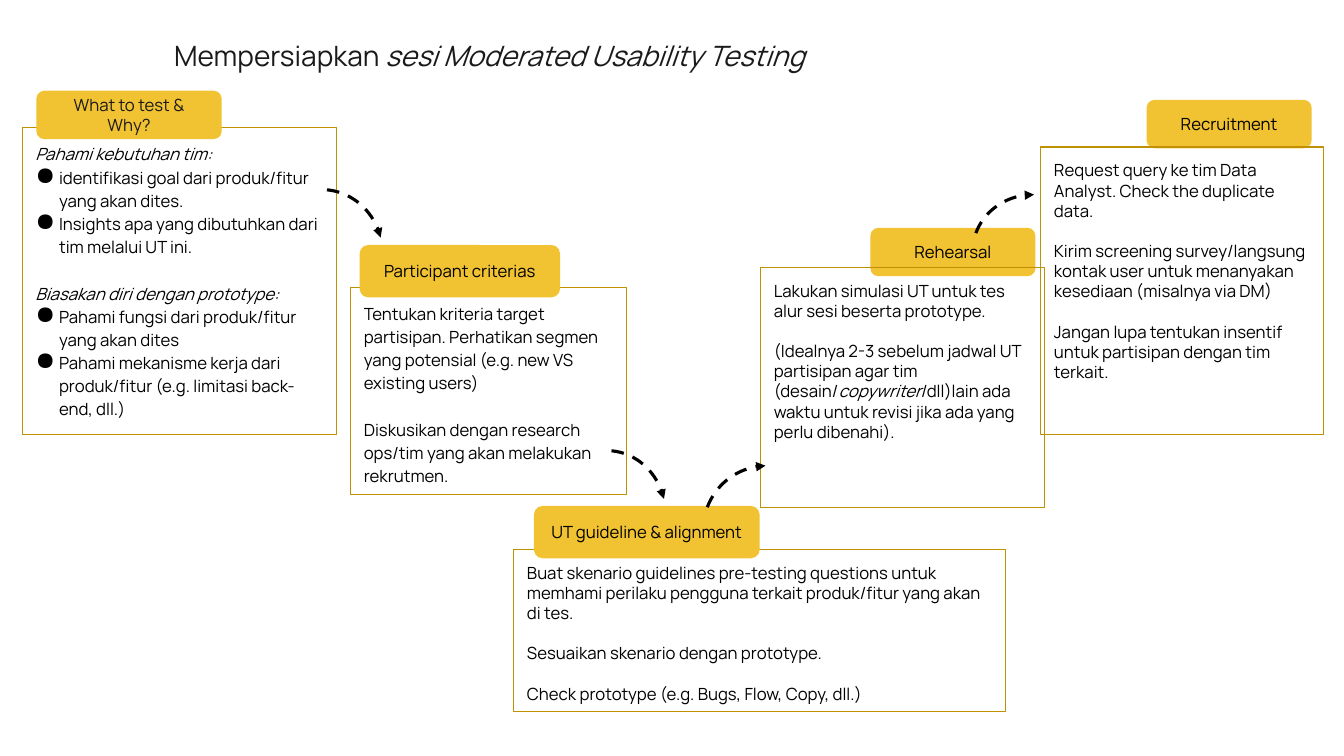
from dataclasses import dataclass

from lxml import etree
from pptx import Presentation
from pptx.dml.color import RGBColor
from pptx.enum import dml, shapes, text
from pptx.oxml import ns
from pptx.util import Pt


@dataclass(frozen=True)
class Theme:
    font: str = "Manrope"
    title_size: int = 20
    body_size: int = 12
    ink: str = "000000"
    soft_ink: str = "1A1A1A"
    tab: str = "F1C232"
    frame: str = "BF9000"
    loose: float = 1.15
    line_height: float = 14.4


@dataclass(frozen=True)
class Para:
    """A paragraph; parts between asterisks are italic."""
    words: str
    bullet: bool = False
    gap: bool = False


@dataclass(frozen=True)
class Step:
    heading: str
    tab: tuple
    card: tuple
    body: tuple
    spacing: float = 1.0
    tab_on_top: bool = True
    tab_ink: str = Theme.ink


THEME = Theme()

STEPS = (
    Step("What to test & Why?", (26, 64.8, 132.5, 34.6), (15.8, 91.4, 224.6, 219), (
        Para("*Pahami kebutuhan tim:*"),
        Para("identifikasi goal dari produk/fitur yang akan dites.", bullet=True),
        Para("Insights apa yang dibutuhkan dari tim melalui UT ini.", bullet=True),
        Para("*Biasakan diri dengan prototype:*", gap=True),
        Para("Pahami fungsi dari produk/fitur yang akan dites", bullet=True),
        Para("Pahami mekanisme kerja dari produk/fitur (e.g. limitasi back-end, dll.)",
             bullet=True),
    ), spacing=THEME.loose, tab_ink=THEME.soft_ink),
    Step("Participant criterias", (257, 175, 143.3, 37.4), (250.6, 205.2, 197.3, 148.3), (
        Para("Tentukan kriteria target partisipan. Perhatikan segmen yang potensial "
             "(e.g. new VS existing users)"),
        Para("Diskusikan dengan research ops/tim yang akan melakukan rekrutmen.", gap=True),
    ), spacing=THEME.loose),
    Step("UT guideline & alignment", (381.6, 361.4, 161.3, 37.4), (367.2, 392.4, 351.4, 116), (
        Para("Buat skenario guidelines pre-testing questions untuk memhami perilaku "
             "pengguna terkait produk/fitur yang akan di tes."),
        Para("Sesuaikan skenario dengan prototype.", gap=True),
        Para("Check prototype (e.g. Bugs, Flow, Copy, dll.)", gap=True),
    )),
    Step("Rehearsal", (622, 162.7, 118, 34.6), (543.6, 190.8, 203, 171.4), (
        Para("Lakukan simulasi UT untuk tes alur sesi beserta prototype."),
        Para("(Idealnya 2-3 sebelum jadwal UT partisipan agar tim (desain/*copywriter*/dll)"
             "lain ada waktu untuk revisi jika ada yang perlu dibenahi).", gap=True),
    ), tab_on_top=False),
    Step("Recruitment", (819.4, 71.3, 118, 34.6), (743.8, 105, 202.3, 205.2), (
        Para("Request query ke tim Data Analyst. Check the duplicate data."),
        Para("Kirim screening survey/langsung kontak user untuk menanyakan kesediaan "
             "(misalnya via DM)", gap=True),
        Para("Jangan lupa tentukan insentif untuk partisipan dengan tim terkait.", gap=True),
    ), tab_on_top=False),
)

DOWNWARD, UPWARD = 5.3, 290.5
ARROWS = (
    ((185, 135.4, 88.6, 94.3), DOWNWARD),
    ((389.5, 321.8, 86.4, 94.3), DOWNWARD),
    ((502.6, 332.6, 91.4, 91.4), UPWARD),
    ((697, 136.8, 86.4, 91.4), UPWARD),
)


def points(box):
    return [Pt(length) for length in box]


def color(code):
    return RGBColor.from_string(code)


def set_frame(frame, inset, anchor):
    frame.word_wrap = True
    frame.vertical_anchor = anchor
    frame.margin_left = frame.margin_right = Pt(inset)
    frame.margin_top = frame.margin_bottom = Pt(inset)


def add_bullet(paragraph):
    props = paragraph._p.get_or_add_pPr()
    props.set("marL", str(Pt(17)))
    props.set("indent", str(-Pt(17)))
    tint = etree.SubElement(props, ns.qn("a:buClr"))
    etree.SubElement(tint, ns.qn("a:srgbClr"), val=THEME.ink)
    etree.SubElement(props, ns.qn("a:buSzPct"), val="150000")
    etree.SubElement(props, ns.qn("a:buChar"), char="●")


def write(frame, paras, size, ink, spacing=1.0, align=text.PP_ALIGN.LEFT):
    for index, para in enumerate(paras):
        paragraph = frame.add_paragraph() if index else frame.paragraphs[0]
        if para.bullet:
            add_bullet(paragraph)
        paragraph.alignment = align
        paragraph.line_spacing = spacing
        if para.gap:
            paragraph.space_before = Pt(round(THEME.line_height * spacing, 1))
        for part, words in enumerate(para.words.split("*")):
            if not words:
                continue
            run = paragraph.add_run()
            run.text = words
            run.font.name = THEME.font
            run.font.size = Pt(size)
            run.font.italic = part % 2 == 1
            run.font.color.rgb = color(ink)


def add_title(slide):
    title = slide.shapes.add_textbox(*points((119.5, 18.7, 558.7, 37.4)))
    set_frame(title.text_frame, 5, text.MSO_ANCHOR.TOP)
    write(title.text_frame, [Para("Mempersiapkan* sesi Moderated Usability Testing*")],
          THEME.title_size, THEME.soft_ink, THEME.loose)


def add_tab(slide, step):
    tab = slide.shapes.add_shape(shapes.MSO_SHAPE.ROUNDED_RECTANGLE, *points(step.tab))
    tab.shadow.inherit = False
    tab.fill.solid()
    tab.fill.fore_color.rgb = color(THEME.tab)
    tab.line.fill.background()
    set_frame(tab.text_frame, 9.4, text.MSO_ANCHOR.MIDDLE)
    write(tab.text_frame, [Para(step.heading)], THEME.body_size, step.tab_ink,
          align=text.PP_ALIGN.CENTER)


def add_card(slide, step):
    card = slide.shapes.add_shape(shapes.MSO_SHAPE.RECTANGLE, *points(step.card))
    card.shadow.inherit = False
    card.fill.background()
    card.line.color.rgb = color(THEME.frame)
    card.line.width = Pt(0.75)
    set_frame(card.text_frame, 9.4, text.MSO_ANCHOR.TOP)
    write(card.text_frame, step.body, THEME.body_size, THEME.ink, step.spacing)


def add_curved_arrow(slide, box, rotation):
    """Draw a dashed arc from 270 to 338 degrees, turned by the rotation."""
    arrow = slide.shapes.add_shape(shapes.MSO_SHAPE.ARC, *points(box))
    arrow.shadow.inherit = False
    arrow.rotation = rotation
    # One adjustment unit is 100000, one degree is 60000
    for index, degrees in enumerate((270, 338)):
        arrow.adjustments[index] = degrees * 0.6
    arrow.fill.background()
    arrow.line.color.rgb = color(THEME.ink)
    arrow.line.width = Pt(2.25)
    arrow.line.dash_style = dml.MSO_LINE.DASH
    etree.SubElement(arrow.line._get_or_add_ln(), ns.qn("a:tailEnd"), type="triangle")


def main():
    deck = Presentation()
    deck.slide_width, deck.slide_height = Pt(960.5), Pt(540)
    slide = deck.slides.add_slide(deck.slide_layouts[6])
    for step in STEPS:
        layers = (add_card, add_tab) if step.tab_on_top else (add_tab, add_card)
        for add_layer in layers:
            add_layer(slide, step)
    for box, rotation in ARROWS:
        add_curved_arrow(slide, box, rotation)
    add_title(slide)
    deck.save("out.pptx")


if __name__ == "__main__":
    main()
